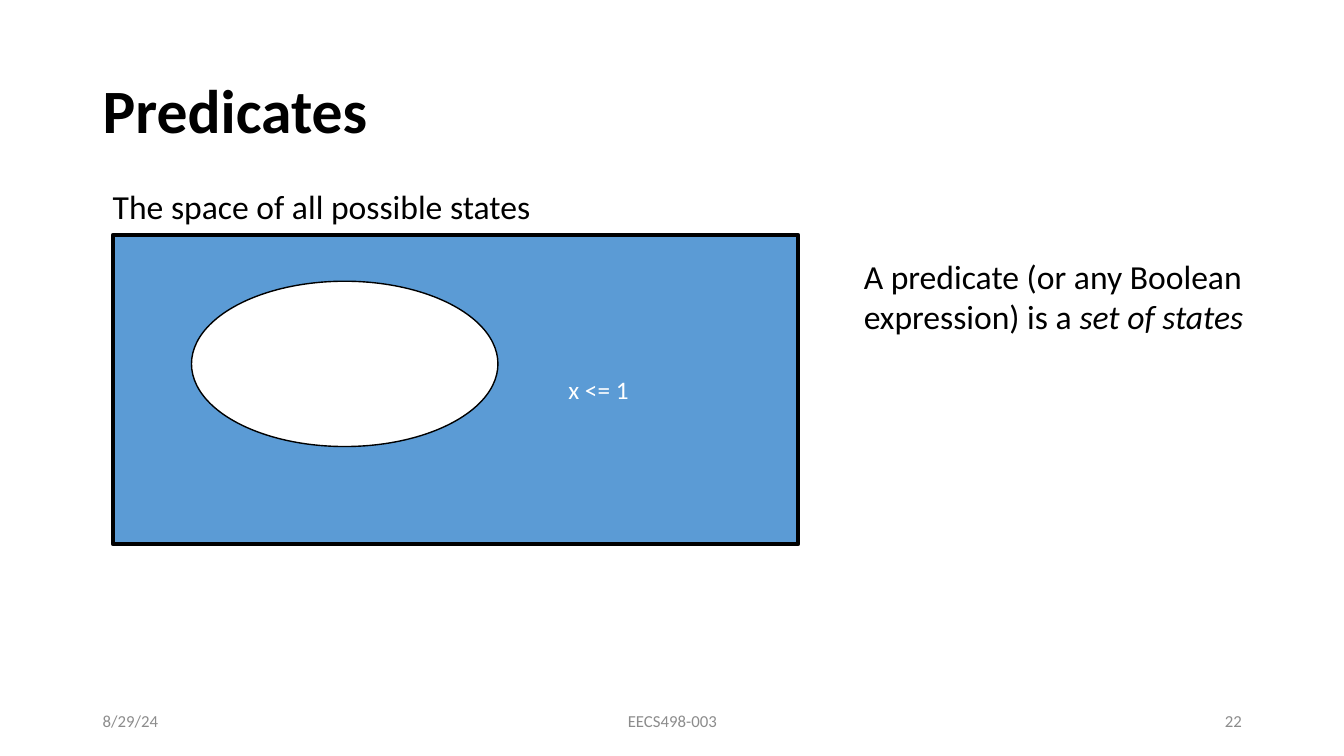
"""Builds a slide that shows a predicate as a set of states."""
from pptx import Presentation
from pptx.dml.color import RGBColor
from pptx.enum.shapes import MSO_SHAPE
from pptx.enum.text import MSO_ANCHOR, PP_ALIGN
from pptx.util import Inches, Pt

prs = Presentation()
prs.slide_width, prs.slide_height = Inches(13.33), Inches(7.5)
s = prs.slides.add_slide(prs.slide_layouts[6])


def box(x, y, w, h):
    W, H = prs.slide_width / 100, prs.slide_height / 100
    return int(x * W), int(y * H), int(w * W), int(h * H)


def write(sp, runs, size, color, align=PP_ALIGN.LEFT, anchor=MSO_ANCHOR.MIDDLE, bold=False):
    tf = sp.text_frame
    tf.word_wrap = True
    tf.vertical_anchor = anchor
    p = tf.paragraphs[0]
    p.alignment = align
    for text, italic in runs:
        r = p.add_run()
        r.text = text
        r.font.name, r.font.size = "Calibri", Pt(size)
        r.font.bold, r.font.italic = bold, italic
        r.font.color.rgb = RGBColor.from_string(color)
    return p


title = s.shapes.add_textbox(*box(6.9, 5.33, 86.25, 19.33))
write(title, [("Predicates", False)], 44, "000000", bold=True).line_spacing = 0.9

for text, x, w, align in [
    ("8/29/24", 6.9, 22.5, PP_ALIGN.LEFT),
    ("EECS498-003", 33.15, 33.75, PP_ALIGN.CENTER),
    ("22", 70.65, 22.5, PP_ALIGN.RIGHT),
]:
    footer = s.shapes.add_textbox(*box(x, 92.67, w, 5.33))
    write(footer, [(text, False)], 12, "8C8C8C", align)

shapes = []
for kind, place, fill, width in [
    (MSO_SHAPE.RECTANGLE, (8.4, 31.07, 51, 40.93), "5B9BD5", 2.75),
    (MSO_SHAPE.OVAL, (14.25, 37.2, 22.8, 21.87), "FFFFFF", 1),
]:
    sp = s.shapes.add_shape(kind, *box(*place))
    sp.shadow.inherit = False
    sp.fill.solid()
    sp.fill.fore_color.rgb = RGBColor.from_string(fill)
    sp.line.color.rgb = RGBColor.from_string("000000")
    sp.line.width = Pt(width)
    shapes.append(sp)

states, predicate = shapes
write(states, [("x <= 1", False)], 18, "FFFFFF", PP_ALIGN.CENTER)
states.text_frame.margin_left = int(prs.slide_width * 0.22)

for runs, place in [
    ([("The space of all possible states", False)], (7.65, 23.87, 32.85, 6.67)),
    ([("A predicate (or any Boolean expression) is a ", False), ("set of states", True)],
     (63.53, 33.2, 31.05, 12.13)),
]:
    note = s.shapes.add_textbox(*box(*place))
    write(note, runs, 24, "000000", anchor=MSO_ANCHOR.TOP)

prs.save("out.pptx")
